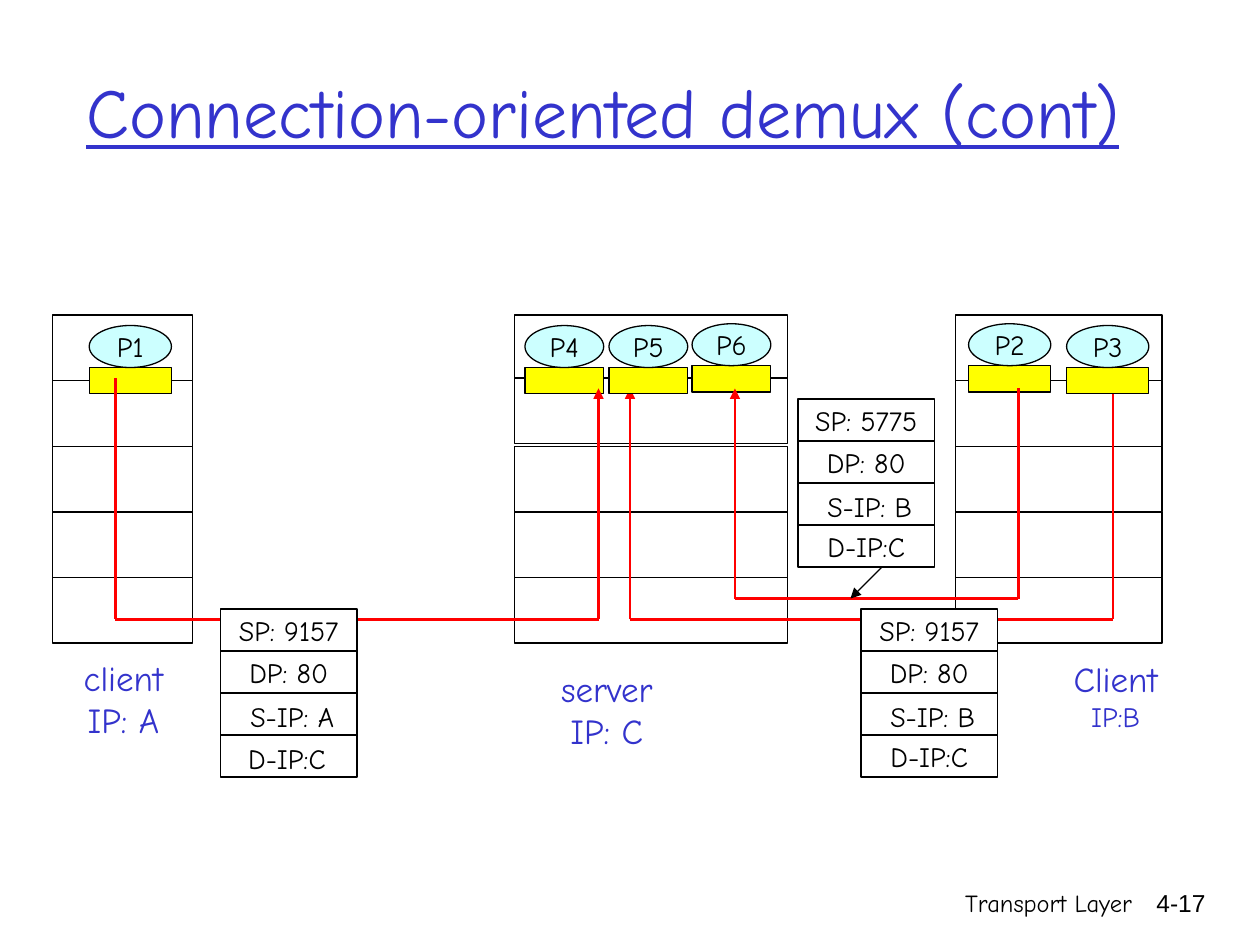
from dataclasses import dataclass
from itertools import pairwise

from lxml import etree
from pptx import Presentation
from pptx.dml.color import RGBColor
from pptx.enum import shapes, text
from pptx.oxml import ns
from pptx.util import Pt

BLACK = RGBColor(0x00, 0x00, 0x00)
WHITE = RGBColor(0xFF, 0xFF, 0xFF)
BLUE = RGBColor(0x33, 0x33, 0xCC)
RED = RGBColor(0xFF, 0x00, 0x00)
YELLOW = RGBColor(0xFF, 0xFF, 0x00)
CYAN = RGBColor(0xCC, 0xFF, 0xFF)

COMIC = "Comic Neue"
LAYER_HEIGHT = 37.5
CELL_WIDTH, CELL_HEIGHT = 78, 24
RECTANGLE = shapes.MSO_SHAPE.RECTANGLE
OVAL = shapes.MSO_SHAPE.OVAL
ALIGN = text.PP_ALIGN
ANCHOR = text.MSO_ANCHOR


@dataclass
class Host:
    left: float
    width: float
    layer_tops: list[float]


@dataclass
class Process:
    name: str
    left: float
    top: float
    width: float


@dataclass
class Packet:
    left: float
    top: float
    fields: list[str]
    shifts: dict[int, float]


@dataclass
class Label:
    lines: list[tuple[str, int]]
    left: float
    top: float
    width: float
    height: float
    color: RGBColor = BLACK
    font: str = COMIC
    align: ALIGN = ALIGN.CENTER
    wrap: bool = False


def write(frame, lines, color=BLACK, font=COMIC, align=ALIGN.CENTER,
          anchor=ANCHOR.MIDDLE, wrap=False, underline=None) -> None:
    frame_format = {"word_wrap": wrap, "vertical_anchor": anchor,
                    "auto_size": text.MSO_AUTO_SIZE.NONE}
    for key, value in frame_format.items():
        setattr(frame, key, value)
    for index, (line, size) in enumerate(lines):
        paragraph = frame.add_paragraph() if index else frame.paragraphs[0]
        paragraph.alignment = align
        run = paragraph.add_run()
        run.text = line
        run.font.color.rgb = color
        run_format = {"name": font, "size": Pt(size), "underline": underline}
        for key, value in run_format.items():
            setattr(run.font, key, value)


def draw_label(slide, label: Label) -> None:
    box = slide.shapes.add_textbox(
        Pt(label.left), Pt(label.top), Pt(label.width), Pt(label.height))
    write(box.text_frame, label.lines, label.color, label.font, label.align,
          ANCHOR.TOP, label.wrap)


def draw_block(slide, kind, left: float, top: float, width: float,
               height: float, fill: RGBColor, caption: str = "") -> None:
    block = slide.shapes.add_shape(kind, Pt(left), Pt(top), Pt(width), Pt(height))
    block.shadow.inherit = False
    block.fill.solid()
    block.fill.fore_color.rgb = fill
    block.line.color.rgb = BLACK
    block.line.width = Pt(0.75)
    if caption:
        write(block.text_frame, [(caption, 16)])


def draw_host(slide, host: Host) -> None:
    for top in host.layer_tops:
        draw_block(slide, RECTANGLE, host.left, top, host.width, LAYER_HEIGHT, WHITE)


def draw_process(slide, process: Process) -> None:
    draw_block(slide, RECTANGLE, process.left, process.top + 24,
               process.width, 15, YELLOW)
    draw_block(slide, OVAL, process.left, process.top,
               process.width, 24, CYAN, process.name)


def draw_route(slide, points: list[tuple[float, float]],
               color: RGBColor, width: float) -> None:
    for start, end in pairwise(points):
        segment = slide.shapes.add_connector(
            shapes.MSO_CONNECTOR.STRAIGHT, *map(Pt, start + end))
        segment.line.color.rgb = color
        segment.line.width = Pt(width)
        if end == points[-1]:
            etree.SubElement(segment.line._get_or_add_ln(),
                             ns.qn("a:tailEnd"), type="triangle")
        etree.SubElement(segment._element.spPr, ns.qn("a:effectLst"))


def draw_packet(slide, packet: Packet) -> None:
    for row, field in enumerate(packet.fields):
        top = packet.top + row * CELL_HEIGHT
        shifted = row in packet.shifts
        draw_block(slide, RECTANGLE, packet.left, top, CELL_WIDTH, CELL_HEIGHT,
                   WHITE, "" if shifted else field)
    for row, shift in packet.shifts.items():
        draw_label(slide, Label([(packet.fields[row], 16)], packet.left + shift,
                                packet.top + row * CELL_HEIGHT, CELL_WIDTH, 26.5))


def main() -> None:
    deck = Presentation()
    deck.slide_width, deck.slide_height = Pt(720), Pt(540)
    slide = deck.slides.add_slide(deck.slide_layouts[5])

    title = slide.shapes.title
    placement = {"left": 42, "top": 18, "width": 612, "height": 90}
    for key, value in placement.items():
        setattr(title, key, Pt(value))
    write(title.text_frame, [("Connection-oriented demux (cont)", 40)], BLUE,
          align=ALIGN.LEFT, wrap=True, underline=True)

    layers = [180 + row * LAYER_HEIGHT for row in range(5)]
    server_layers = [layers[0], 216, *layers[2:]]
    for host in (Host(30, 80, layers), Host(546, 118, layers),
                 Host(294, 156, server_layers)):
        draw_host(slide, host)

    for process in (Process("P1", 51, 186, 47), Process("P2", 553.5, 185, 47),
                    Process("P4", 300, 186, 45)):
        draw_process(slide, process)
    draw_route(slide, [(66, 216), (66, 354), (342, 354), (342, 222)], RED, 1.5)
    draw_route(slide, [(636, 216), (636, 354), (360, 354), (360, 222)], RED, 1.5)
    for process in (Process("P5", 348, 186, 45), Process("P6", 395.5, 185, 45),
                    Process("P3", 609.5, 186, 47)):
        draw_process(slide, process)
    draw_route(slide, [(582, 222), (582, 342), (420, 342), (420, 222)], RED, 1.5)

    for packet in (
        Packet(126, 348, ["SP: 9157", "DP: 80", "S-IP: A", "D-IP:C"], {2: 2, 3: -1}),
        Packet(492, 348, ["SP: 9157", "DP: 80", "S-IP: B", "D-IP:C"], {2: 2}),
        Packet(456, 228, ["SP: 5775", "DP: 80", "S-IP: B", "D-IP:C"], {2: 2}),
    ):
        draw_packet(slide, packet)
    draw_route(slide, [(504, 324), (486, 342)], BLACK, 0.75)

    for label in (
        Label([("client", 20), ("IP: A", 20)], 36.5, 371.5, 68, 55.5, BLUE),
        Label([("server", 20), ("IP: C", 20)], 309, 378, 75.5, 55.5, BLUE),
        Label([("Client", 20), ("IP:B", 16)], 603.5, 372, 68, 50.5, BLUE),
        Label([("Transport Layer", 14)], 426, 504, 228, 36,
              align=ALIGN.RIGHT, wrap=True),
        Label([("4-17", 14)], 643, 504, 53, 36,
              font="Arial", align=ALIGN.RIGHT, wrap=True),
    ):
        draw_label(slide, label)

    deck.save("out.pptx")


if __name__ == "__main__":
    main()
